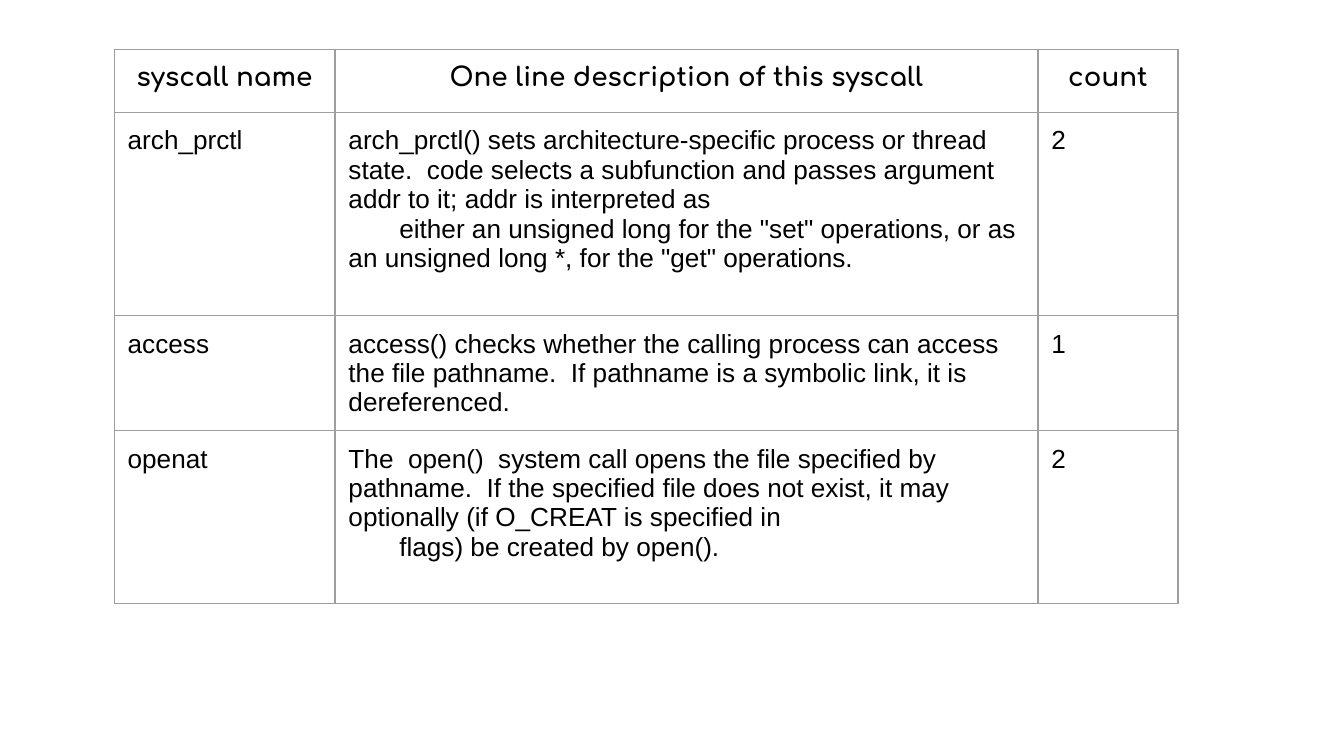
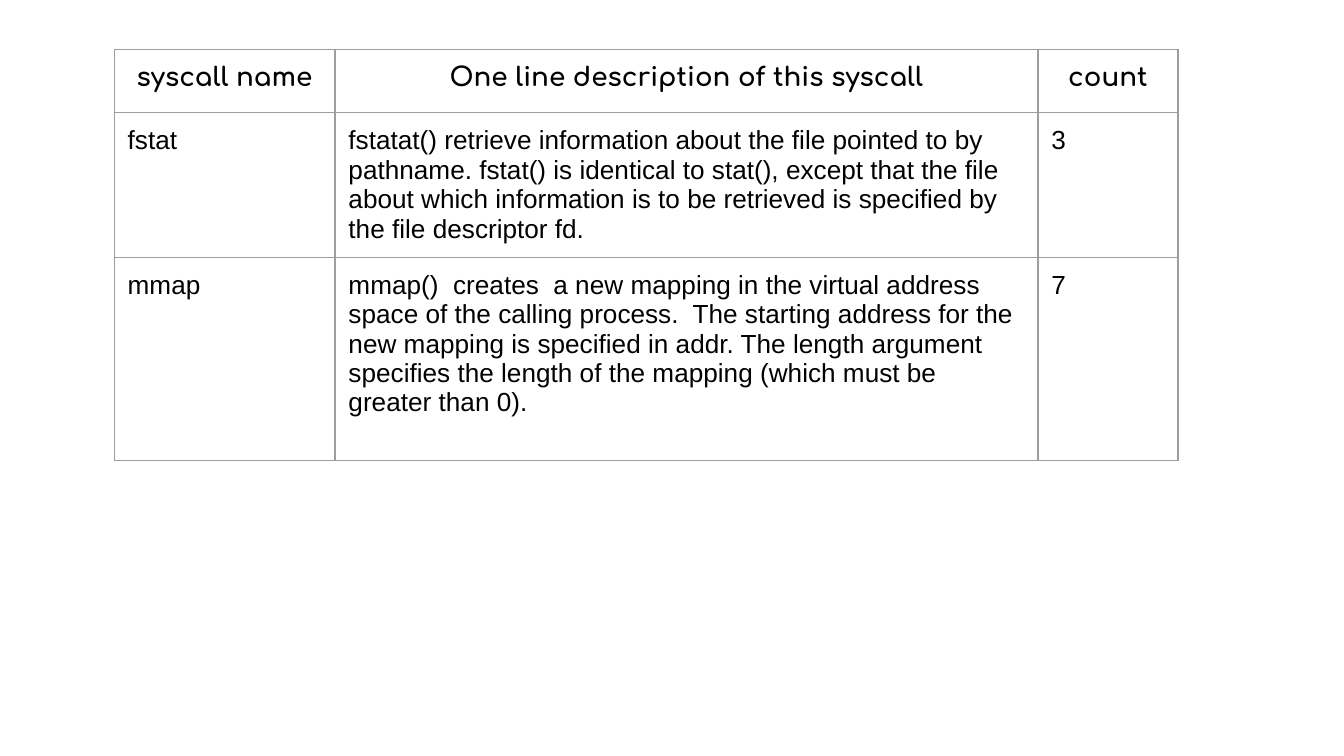
from lxml import etree
from pptx import Presentation
from pptx.dml.color import RGBColor
from pptx.enum.text import PP_ALIGN
from pptx.oxml.ns import qn
from pptx.util import Pt

CENTER, LEFT = PP_ALIGN.CENTER, PP_ALIGN.LEFT
BLACK, GRAY = "000000", "9E9E9E"
LEAD, BODY = "Comfortaa", "Arial"
SIZE = 14
INSET = 7.2
INDENT = 27.2
EDGE, TOP = 61.2, 26.6
WIDTHS = (118.3, 376.6, 75)
HEAD_H = 33.8
HEAD = ("syscall name", "One line description of this syscall", "count")

# Each row: height, name, paragraphs of the description, count
FIRST = (
    (108.8, "arch_prctl",
     ("arch_prctl() sets architecture-specific process or thread state.  "
      "code selects a subfunction and passes argument addr to it; "
      "addr is interpreted as",
      'either an unsigned long for the "set" operations, or as '
      'an unsigned long *, for the "get" operations.'), "2"),
    (61.6, "access",
     ("access() checks whether the calling process can access the file "
      "pathname.  If pathname is a symbolic link, it is dereferenced.",), "1"),
    (92.7, "openat",
     ("The  open()  system call opens the file specified by pathname.  "
      "If the specified file does not exist, it may optionally "
      "(if O_CREAT is specified in",
      "flags) be created by open()."), "2"),
)
SECOND = (
    (77.2, "fstat",
     ("fstatat() retrieve information about the file pointed to by pathname. "
      "fstat() is identical to stat(), except that the file about which "
      "information is to be retrieved is specified by the file descriptor "
      "fd.",), "3"),
    (108.8, "mmap",
     ("mmap()  creates  a new mapping in the virtual address space of the "
      "calling process.  The starting address for the new mapping is "
      "specified in addr. The length argument specifies the length of the "
      "mapping (which must be greater than 0).",), "7"),
)


def color(code):
    return RGBColor.from_string(code)


def border(cell):
    props = cell._tc.get_or_add_tcPr()
    for side in ("lnL", "lnR", "lnT", "lnB"):
        line = etree.SubElement(props, qn("a:" + side), w=str(Pt(0.75)))
        fill = etree.SubElement(line, qn("a:solidFill"))
        etree.SubElement(fill, qn("a:srgbClr"), val=GRAY)


def fill_cell(cell, texts, font, bold, align):
    """Write the paragraphs of a cell; those after the first are indented."""
    border(cell)
    cell.fill.background()
    cell.margin_left = cell.margin_right = Pt(INSET)
    cell.margin_top = cell.margin_bottom = Pt(INSET)
    frame = cell.text_frame
    for i, text in enumerate(texts):
        para = frame.add_paragraph() if i else frame.paragraphs[0]
        para.text = text
        para.alignment = align
        para.font.name = font
        para.font.size = Pt(SIZE)
        para.font.bold = bold
        para.font.color.rgb = color(BLACK)
        if i:
            para._p.get_or_add_pPr().set("indent", str(Pt(INDENT)))


def add_grid(slide, top, heights, rows, font=BODY, bold=False, align=LEFT):
    """Add a table whose rows are lists of cells, each a list of paragraphs."""
    table = slide.shapes.add_table(
        len(rows), len(WIDTHS), Pt(EDGE), Pt(top),
        Pt(sum(WIDTHS)), Pt(sum(heights))).table
    table.first_row = table.horz_banding = False
    for col, width in zip(table.columns, WIDTHS):
        col.width = Pt(width)
    for line, height, row in zip(table.rows, heights, rows):
        line.height = Pt(height)
        for cell, texts in zip(line.cells, row):
            fill_cell(cell, texts, font, bold, align)


def add_page(deck, calls):
    slide = deck.slides.add_slide(deck.slide_layouts[6])
    heights = [call[0] for call in calls]
    rows = [([name], texts, [count]) for _, name, texts, count in calls]
    add_grid(slide, TOP + HEAD_H, heights, rows)
    add_grid(slide, TOP, [HEAD_H], [[[label] for label in HEAD]],
             LEAD, True, CENTER)


def main():
    deck = Presentation()
    deck.slide_width, deck.slide_height = Pt(720), Pt(405)
    for calls in (FIRST, SECOND):
        add_page(deck, calls)
    deck.save("out.pptx")


if __name__ == "__main__":
    main()
